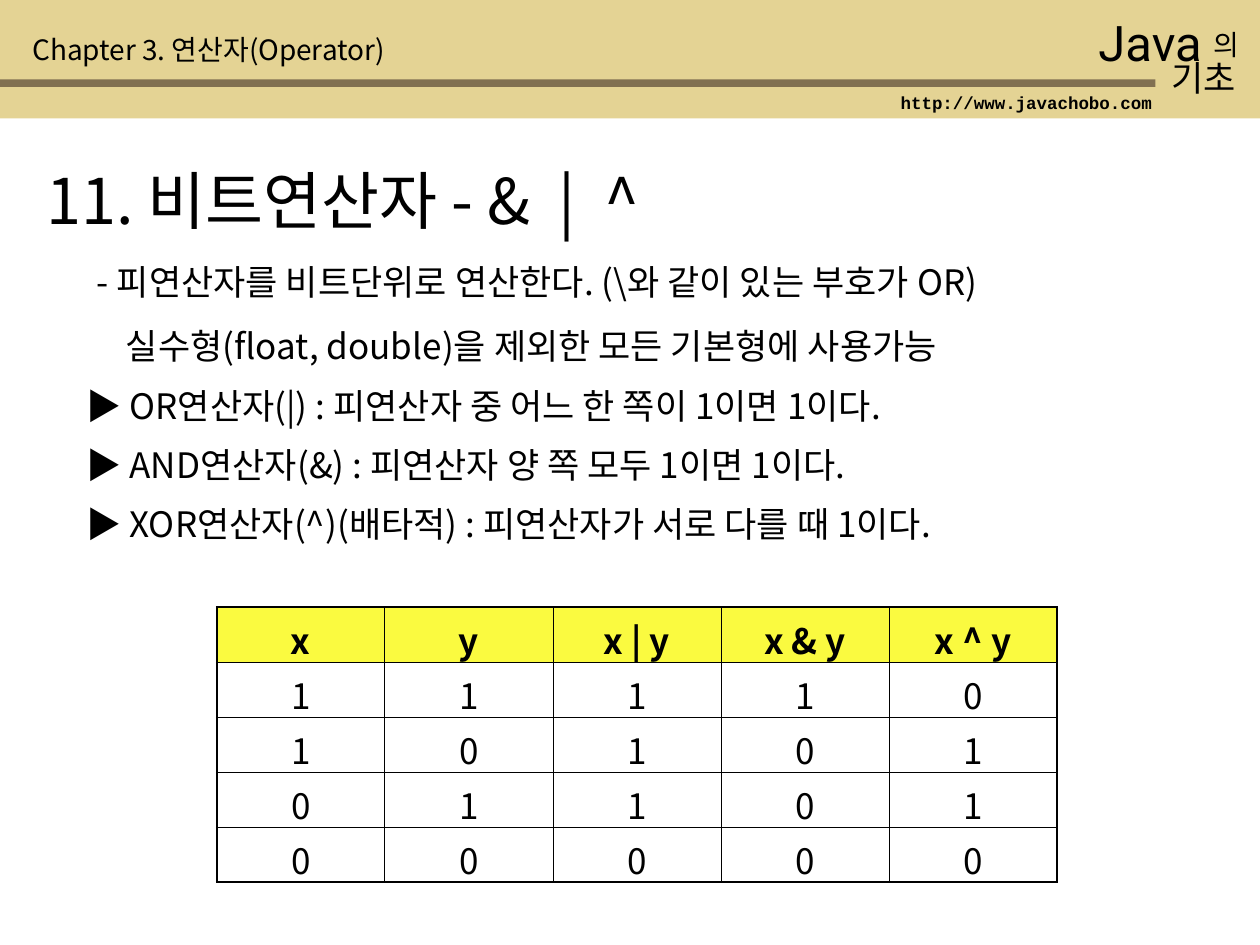
from dataclasses import dataclass

from lxml import etree
from pptx import Presentation
from pptx.dml.color import RGBColor
from pptx.enum.shapes import MSO_SHAPE
from pptx.enum.text import MSO_ANCHOR, PP_ALIGN
from pptx.oxml.ns import qn
from pptx.util import Inches, Pt

RECT = MSO_SHAPE.RECTANGLE
CENTER = PP_ALIGN.CENTER
TOP = MSO_ANCHOR.TOP
WIDE, HIGH = 10, 7.5
KOREAN, LATIN, MONO = "Noto Sans CJK KR", "Roboto", "Courier New"
SAND, BROWN, YELLOW = "E4D394", "817051", "FAFA40"
BLACK, WHITE = "000000", "FFFFFF"
THIN, THICK = 0.45, 1.08


@dataclass
class Label:
    left: float
    top: float
    width: float
    height: float
    lines: tuple[str, ...]
    size: float
    font: str = KOREAN
    bold: bool = False


RULES = (
    "▶ OR연산자(|) : 피연산자 중 어느 한 쪽이 1이면 1이다.",
    "▶ AND연산자(&) : 피연산자 양 쪽 모두 1이면 1이다.",
    "▶ XOR연산자(^)(배타적) : 피연산자가 서로 다를 때 1이다.",
)
RULE_TOP, RULE_STEP = 3, 0.47
LABELS = [
    Label(8.62, 0.05, 1.33, 0.57, ("Java",), 28, LATIN),
    Label(9.53, 0.17, 0.59, 0.37, ("의",), 16),
    Label(9.2, 0.4, 0.89, 0.44, ("기초",), 20),
    Label(7.05, 0.68, 2.2, 0.27, ("http://www.javachobo.com",), 10, MONO, True),
    Label(0.16, 0.21, 4.33, 0.37, ("Chapter 3. 연산자(Operator)",), 16),
    Label(0.27, 1.23, 9.45, 0.7, ("11. 비트연산자 - &  |  ^",), 36),
    *(Label(0.59, RULE_TOP + i * RULE_STEP, 9.33, 0.44, (rule,), 20)
      for i, rule in enumerate(RULES)),
    Label(0.67, 2.02, 8.35, 0.94, (
        "- 피연산자를 비트단위로 연산한다. (\\와 같이 있는 부호가 OR)",
        "실수형(float, double)을 제외한 모든 기본형에 사용가능",
    ), 20),
]
HEADS = ["x", "y", "x | y", "x & y", "x ^ y"]
PAIRS = [(1, 1), (1, 0), (0, 1), (0, 0)]


def color(code: str) -> RGBColor:
    return RGBColor.from_string(code)


def add_run(para, text: str, size: float, font: str, bold: bool) -> None:
    run = para.add_run()
    run.text = text
    run.font.size = Pt(size)
    run.font.name = font
    run.font.bold = bold
    run.font.color.rgb = color(BLACK)
    east = etree.SubElement(run.font._element, qn("a:ea"))
    east.set("typeface", font)


def add_band(slide, top: float, width: float, height: float, fill: str) -> None:
    band = slide.shapes.add_shape(
        RECT, 0, Inches(top), Inches(width), Inches(height))
    band.shadow.inherit = False
    band.fill.solid()
    band.fill.fore_color.rgb = color(fill)
    band.line.fill.background()


def add_label(slide, label: Label) -> None:
    box = slide.shapes.add_textbox(
        Inches(label.left), Inches(label.top),
        Inches(label.width), Inches(label.height))
    frame = box.text_frame
    frame.word_wrap = True
    for i, line in enumerate(label.lines):
        para = frame.add_paragraph() if i else frame.paragraphs[0]
        if i:
            para.space_before = Pt(12.5)
            props = para._p.get_or_add_pPr()
            props.set("marL", str(Inches(0.23)))
            props.set("indent", "0")
        add_run(para, line, label.size, label.font, label.bold)


def add_edge(cell, side: str, width: float) -> None:
    edge = etree.SubElement(
        cell._tc.get_or_add_tcPr(), qn(f"a:ln{side}"), w=str(Pt(width)))
    fill = etree.SubElement(edge, qn("a:solidFill"))
    etree.SubElement(fill, qn("a:srgbClr"), val=BLACK)


def add_truth(slide) -> None:
    """Draw the truth table, working out each result from its x and y."""
    rows = [HEADS] + [[x, y, x | y, x & y, x ^ y] for x, y in PAIRS]
    last, end = len(rows) - 1, len(HEADS) - 1
    table = slide.shapes.add_table(
        len(rows), len(HEADS), Inches(1.72), Inches(4.82),
        Inches(6.67), Inches(2.18)).table
    for r, row in enumerate(rows):
        for c, value in enumerate(row):
            cell = table.cell(r, c)
            cell.vertical_anchor = TOP
            outer = {"L": c == 0, "R": c == end, "T": r == 0, "B": r == last}
            for side, thick in outer.items():
                add_edge(cell, side, THICK if thick else THIN)
            cell.fill.solid()
            cell.fill.fore_color.rgb = color(WHITE if r else YELLOW)
            para = cell.text_frame.paragraphs[0]
            para.alignment = CENTER
            add_run(para, str(value), 20, KOREAN, r == 0)


def main() -> None:
    deck = Presentation()
    deck.slide_width, deck.slide_height = Inches(WIDE), Inches(HIGH)
    slide = deck.slides.add_slide(deck.slide_layouts[6])
    add_band(slide, 0, WIDE, 0.94, SAND)
    add_band(slide, 0.63, 9.17, 0.06, BROWN)
    for label in LABELS:
        add_label(slide, label)
    add_truth(slide)
    deck.save("out.pptx")


if __name__ == "__main__":
    main()
